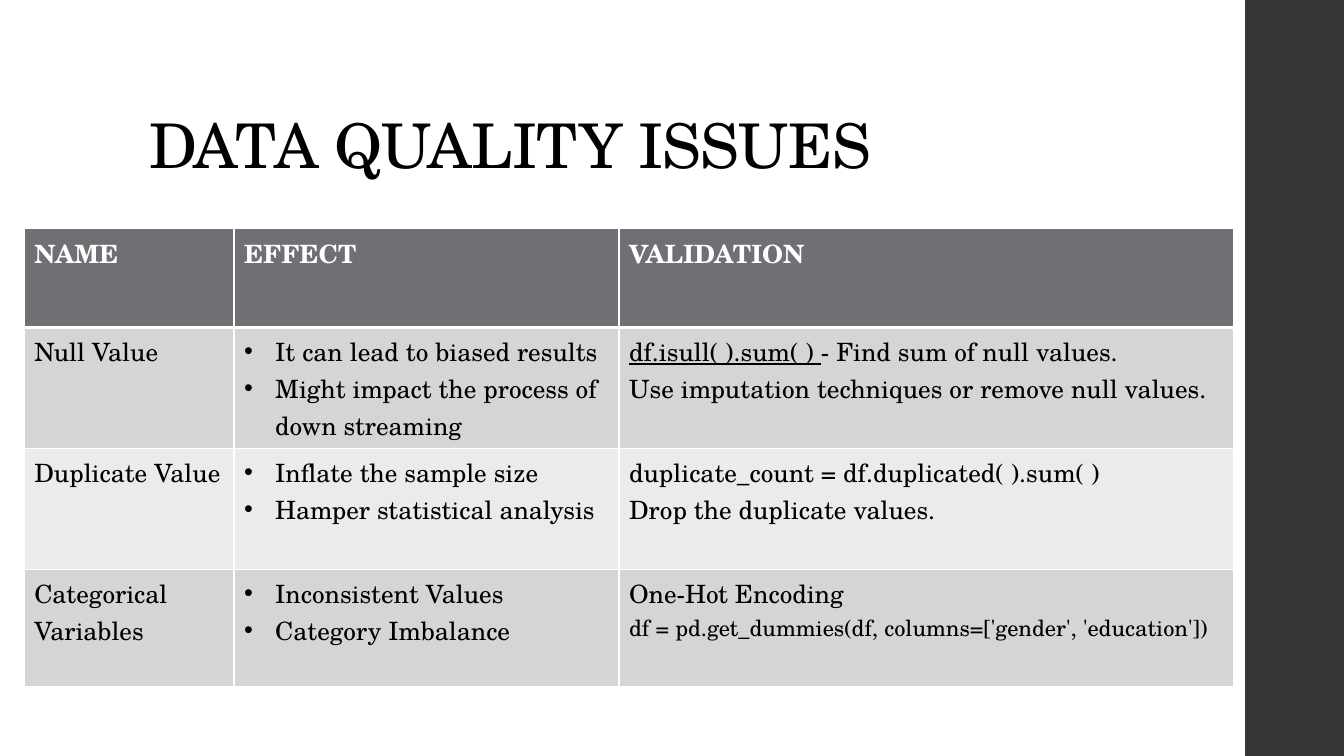
import pptx
import pptx.util
import pptx.enum.shapes
import pptx.enum.text
import pptx.dml.color
import pptx.oxml
import pptx.oxml.ns
from pptx.util import Inches, Pt

TITLE = "DATA QUALITY ISSUES"
HEADINGS = ["NAME", "EFFECT", "VALIDATION"]
UNDERLINED = "df.isull( ).sum( ) "
SMALL_CODE = "df = pd.get_dummies(df, columns=['gender', 'education'])"

# Each cell is a list of paragraphs, each paragraph a list of runs.
ISSUES = [
    ([["Null Value"]],
     [["It can lead to biased results"],
      ["Might impact the process of down streaming"]],
     [[UNDERLINED, "- Find sum of null values."],
      ["Use imputation techniques or remove null values."]]),
    ([["Duplicate Value"]],
     [["Inflate the sample size"], ["Hamper statistical analysis"]],
     [["duplicate_count = df.duplicated( ).sum( )"],
      ["Drop the duplicate values."]]),
    ([["Categorical Variables"]],
     [["Inconsistent Values"], ["Category Imbalance"]],
     [["One-Hot Encoding"], [SMALL_CODE]]),
]
COLUMN_WIDTHS = [2.08, 3.82, 6.1]
ROW_HEIGHTS = [0.98, 1.2, 1.2, 1.16]
EFFECT_COLUMN = 1
FONT = "TeX Gyre Schola"
COLOURS = {"white": "FFFFFF", "text": "000000", "sidebar": "353537",
           "header": "6F6F74", "odd": "D5D5D6", "even": "EBEBEB"}


def rgb(name):
    return pptx.dml.color.RGBColor.from_string(COLOURS[name])


def style_run(span, size, colour, bold=False):
    span.font.name = FONT
    span.font.size = Pt(size)
    span.font.bold = bold
    span.font.color.rgb = rgb(colour)


def add_bullet(para):
    properties = para._p.get_or_add_pPr()
    properties.set("marL", str(Inches(0.31)))
    properties.set("indent", str(Inches(-0.31)))
    for tag, name, value in (("a:buFont", "typeface", "Arial"),
                             ("a:buChar", "char", "•")):
        bullet = pptx.oxml.parse_xml(f'<{tag} {pptx.oxml.ns.nsdecls("a")} {name}="{value}"/>')
        properties.append(bullet)


def add_borders(cell, bottom_width):
    properties = cell._tc.get_or_add_tcPr()
    for side, width in (("L", 1), ("R", 1), ("T", 1), ("B", bottom_width)):
        properties.append(pptx.oxml.parse_xml(
            f'<a:ln{side} {pptx.oxml.ns.nsdecls("a")} w="{Pt(width)}"><a:solidFill>'
            f'<a:srgbClr val="{COLOURS["white"]}"/></a:solidFill></a:ln{side}>'))


def fill_cell(cell, paragraphs, fill, colour, header, bulleted):
    add_borders(cell, 3 if header else 1)
    cell.fill.solid()
    cell.fill.fore_color.rgb = rgb(fill)
    for index, runs in enumerate(paragraphs):
        frame = cell.text_frame
        para = frame.add_paragraph() if index else frame.paragraphs[0]
        if bulleted:
            add_bullet(para)
        for text in runs:
            span = para.add_run()
            span.text = text
            style_run(span, 16 if text == SMALL_CODE else 18, colour, header)
            if text == UNDERLINED:
                span.font.underline = True


def add_sidebar(slide):
    bar = slide.shapes.add_shape(pptx.enum.shapes.MSO_SHAPE.RECTANGLE,
                                 Inches(12.35), 0, Inches(0.98), Inches(7.5))
    bar.shadow.inherit = False
    bar.fill.solid()
    bar.fill.fore_color.rgb = rgb("sidebar")
    bar.line.fill.background()


def add_title(slide):
    box = slide.shapes.add_textbox(Inches(1.38), Inches(0.4), Inches(10.6), Inches(1.45))
    frame = box.text_frame
    frame.word_wrap = True
    frame.vertical_anchor = pptx.enum.text.MSO_ANCHOR.BOTTOM
    frame.text = TITLE
    para = frame.paragraphs[0]
    para.line_spacing = 0.9
    span = para.runs[0]
    style_run(span, 44, "text")
    span._r.get_or_add_rPr().set("spc", "-50")


def add_issue_table(slide):
    rows = [[[[heading]] for heading in HEADINGS], *ISSUES]
    table = slide.shapes.add_table(
        len(rows), len(HEADINGS), Inches(0.24), Inches(2.27),
        Inches(sum(COLUMN_WIDTHS)), Inches(sum(ROW_HEIGHTS))).table
    for column, width in zip(table.columns, COLUMN_WIDTHS):
        column.width = Inches(width)
    for row_index, (cells, height) in enumerate(zip(rows, ROW_HEIGHTS)):
        table.rows[row_index].height = Inches(height)
        header = row_index == 0
        fill = "header" if header else "odd" if row_index % 2 else "even"
        for column_index, paragraphs in enumerate(cells):
            fill_cell(table.cell(row_index, column_index), paragraphs, fill,
                      "white" if header else "text", header,
                      column_index == EFFECT_COLUMN and not header)


def main():
    deck = pptx.Presentation()
    deck.slide_width, deck.slide_height = Inches(13.33), Inches(7.5)
    slide = deck.slides.add_slide(deck.slide_layouts[6])
    add_sidebar(slide)
    add_title(slide)
    add_issue_table(slide)
    deck.save("out.pptx")


if __name__ == "__main__":
    main()
